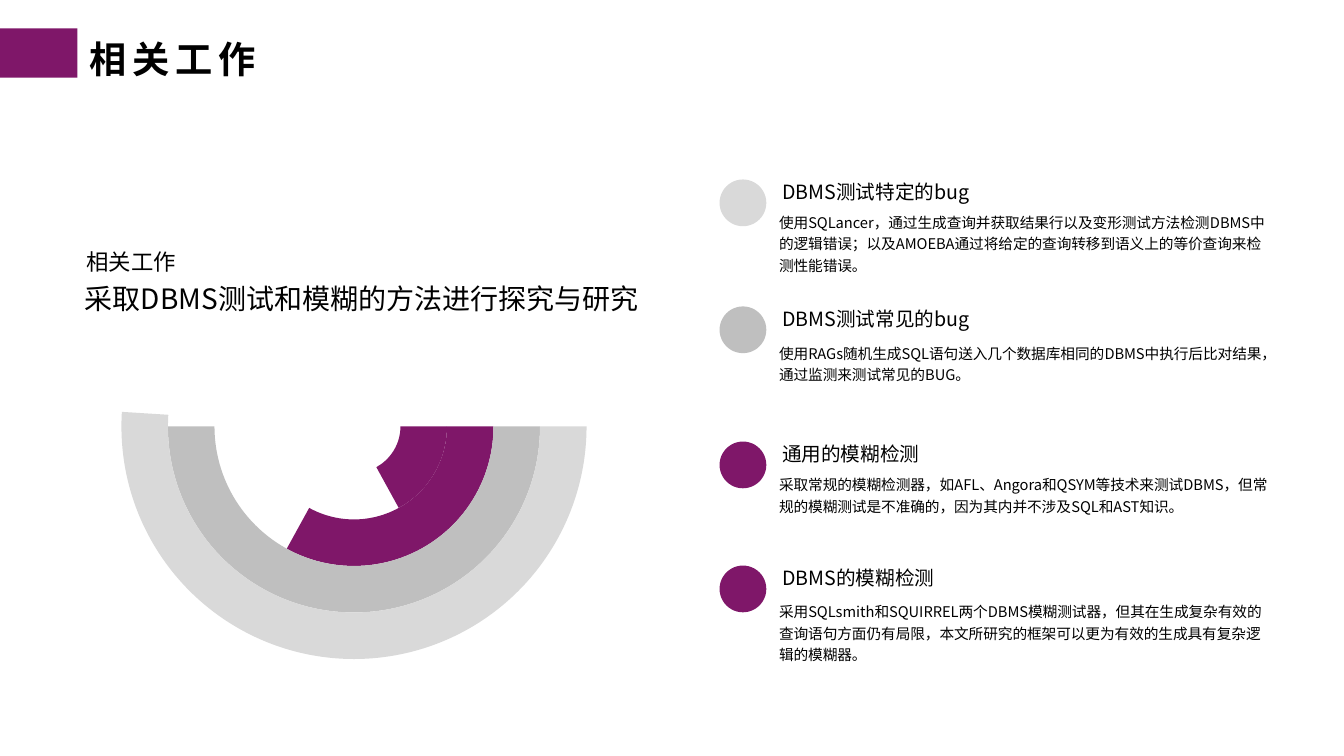
from lxml import etree
from pptx import Presentation
from pptx.chart.data import CategoryChartData
from pptx.dml.color import RGBColor
from pptx.enum.chart import XL_CHART_TYPE as ChartType
from pptx.enum.shapes import MSO_SHAPE as Preset
from pptx.enum.text import MSO_AUTO_SIZE as AutoSize, PP_ALIGN as Align
from pptx.oxml import parse_xml
from pptx.oxml.ns import nsdecls, qn
from pptx.util import Pt

PURPLE, GREY, PALE = "7F1769", "BFBFBF", "D9D9D9"


def color(hex_code):
    return RGBColor.from_string(hex_code)


def apply(target, formats):
    for key, value in formats.items():
        setattr(target, key, value)


class Page:
    font_name = "Noto Sans CJK SC"
    ink = "000000"
    line_spacing = 1.2

    def __init__(self, slide):
        self.slide = slide

    def shape(self, preset, left, top, width, height, fill):
        block = self.slide.shapes.add_shape(
            preset, Pt(left), Pt(top), Pt(width), Pt(height))
        block.shadow.inherit = False
        block.fill.solid()
        block.fill.fore_color.rgb = color(fill)
        block.line.fill.background()

    def text(self, words, left, top, width, height, size, inset=True,
             wrap=True, align=None, bold=None, spacing=None):
        frame = self.slide.shapes.add_textbox(
            Pt(left), Pt(top), Pt(width), Pt(height)).text_frame
        apply(frame, {"word_wrap": wrap})
        if inset:
            frame.auto_size = AutoSize.SHAPE_TO_FIT_TEXT
        else:
            apply(frame, dict.fromkeys(
                ("margin_left", "margin_top", "margin_right", "margin_bottom"), 0))
        paragraph = frame.paragraphs[0]
        apply(paragraph, {"line_spacing": self.line_spacing, "alignment": align})
        run = paragraph.add_run()
        run.text = words
        apply(run.font, {"size": Pt(size), "bold": bold, "name": self.font_name})
        run.font.color.rgb = color(self.ink)
        properties = run.font._element
        etree.SubElement(properties, qn("a:ea"), typeface=self.font_name)
        if spacing:
            properties.set("spc", str(spacing * 100))

    def rings(self, shares, left, top, width, height, plot):
        data = CategoryChartData()
        data.categories = ["1", "2"]
        for number, (share, _) in enumerate(shares, 1):
            data.add_series(f"Series {number}", (share, 100 - share))
        chart = self.slide.shapes.add_chart(
            ChartType.DOUGHNUT, Pt(left), Pt(top), Pt(width), Pt(height), data).chart
        apply(chart, {"has_legend": False, "has_title": False})
        apply(chart.font, {"size": Pt(10), "name": self.font_name})
        chart.font.color.rgb = color(self.ink)
        for series, (_, fill) in zip(chart.plots[0].series, shares):
            arc, rest = (series.points[i].format for i in range(2))
            arc.fill.solid()
            arc.fill.fore_color.rgb = color(fill)
            rest.fill.background()
            for part in (arc, rest):
                part.line.fill.background()
        doughnut = chart.plots[0]._element
        for tag, value in {"c:firstSliceAng": "90", "c:holeSize": "43"}.items():
            doughnut.find(qn(tag)).set("val", value)
        area = doughnut.getparent()
        for layout in area.findall(qn("c:layout")):
            area.remove(layout)
        settings = {"layoutTarget": "inner", "xMode": "edge", "yMode": "edge"}
        settings.update(zip("xywh", plot))
        entries = "".join(f'<c:{k} val="{v}"/>' for k, v in settings.items())
        area.insert(0, parse_xml(
            f'<c:layout {nsdecls("c")}><c:manualLayout>{entries}'
            '</c:manualLayout></c:layout>'))

    def topic(self, fill, heading, body, top, body_top, align=Align.JUSTIFY):
        self.shape(Preset.OVAL, 514, top, 33.4, 33.4, fill)
        self.text(heading, 551.5, top - 6.5, 234, 27, 14, align=align)
        self.text(body, 556.5, body_top, 354.5, 34.5, 10.5, inset=False)


def main():
    deck = Presentation()
    deck.slide_width, deck.slide_height = Pt(960), Pt(540)
    page = Page(deck.slides.add_slide(deck.slide_layouts[6]))

    page.rings([(17, PURPLE), (33, PURPLE), (50, GREY), (51, PALE)],
               -8.6, 111.6, 541.4, 408.2, (0.176, 0.066, 0.614, 0.814))
    page.text("相关工作", 54.7, 169.9, 222.5, 30.2, 16)
    page.text("采取DBMS测试和模糊的方法进行探究与研究",
              60.5, 196.6, 402.5, 81.4, 20, inset=False)

    page.topic(PALE, "DBMS测试特定的bug",
               "使用SQLancer，通过生成查询并获取结果行以及变形测试方法检测DBMS中的逻辑错误；"
               "以及AMOEBA通过将给定的查询转移到语义上的等价查询来检测性能错误。",
               128.2, 150.5)
    page.topic(GREY, "DBMS测试常见的bug",
               "使用RAGs随机生成SQL语句送入几个数据库相同的DBMS中执行后比对结果，"
               "通过监测来测试常见的BUG。",
               218.9, 243.6, align=None)
    page.topic(PURPLE, "通用的模糊检测",
               "采取常规的模糊检测器，如AFL、Angora和QSYM等技术来测试DBMS，"
               "但常规的模糊测试是不准确的，因为其内并不涉及SQL和AST知识。",
               315.4, 337.7)
    page.topic(PURPLE, "DBMS的模糊检测",
               "采用SQLsmith和SQUIRREL两个DBMS模糊测试器，但其在生成复杂有效的查询语句方面仍有局限，"
               "本文所研究的框架可以更为有效的生成具有复杂逻辑的模糊器。",
               404, 428.4)

    page.text("相关工作", 56.9, 15.8, 137.5, 46.1, 26.6,
              wrap=False, bold=True, spacing=4)
    page.shape(Preset.RECTANGLE, 0, 20.2, 55.4, 35.3, PURPLE)
    deck.save("out.pptx")


if __name__ == "__main__":
    main()
